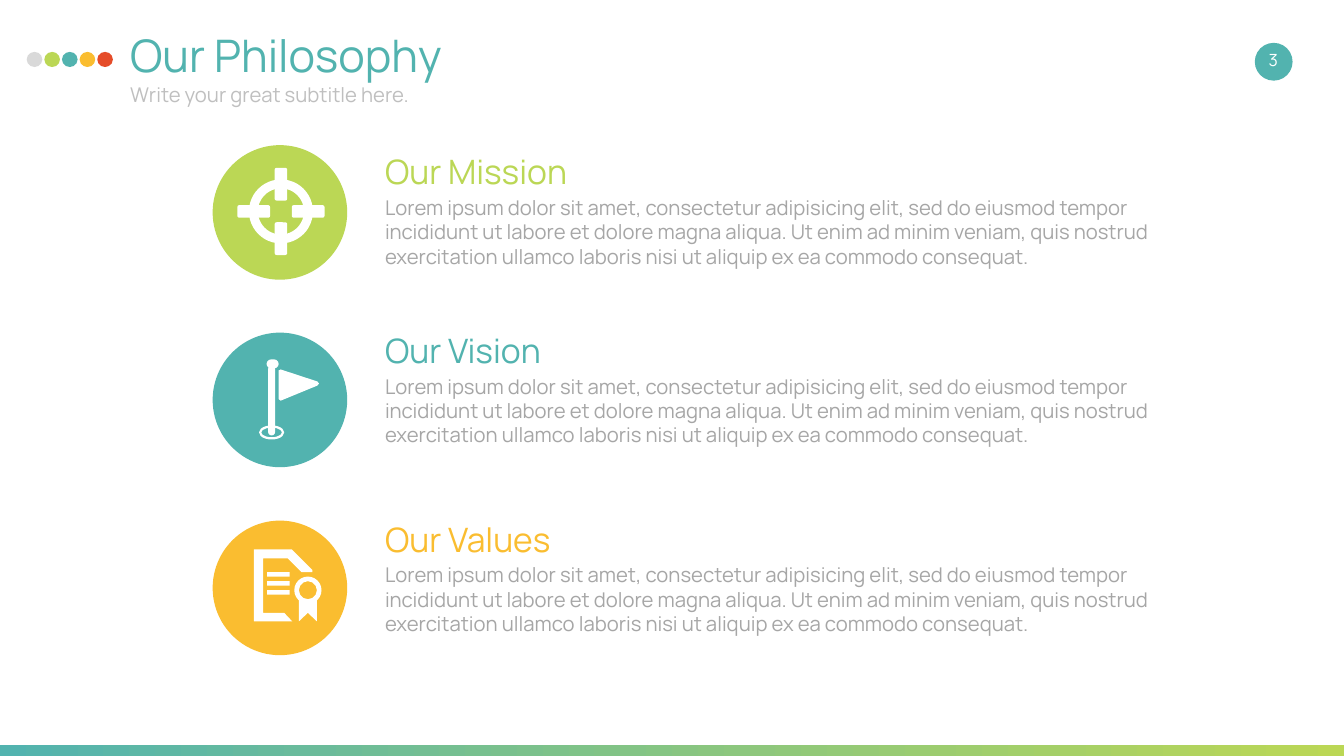
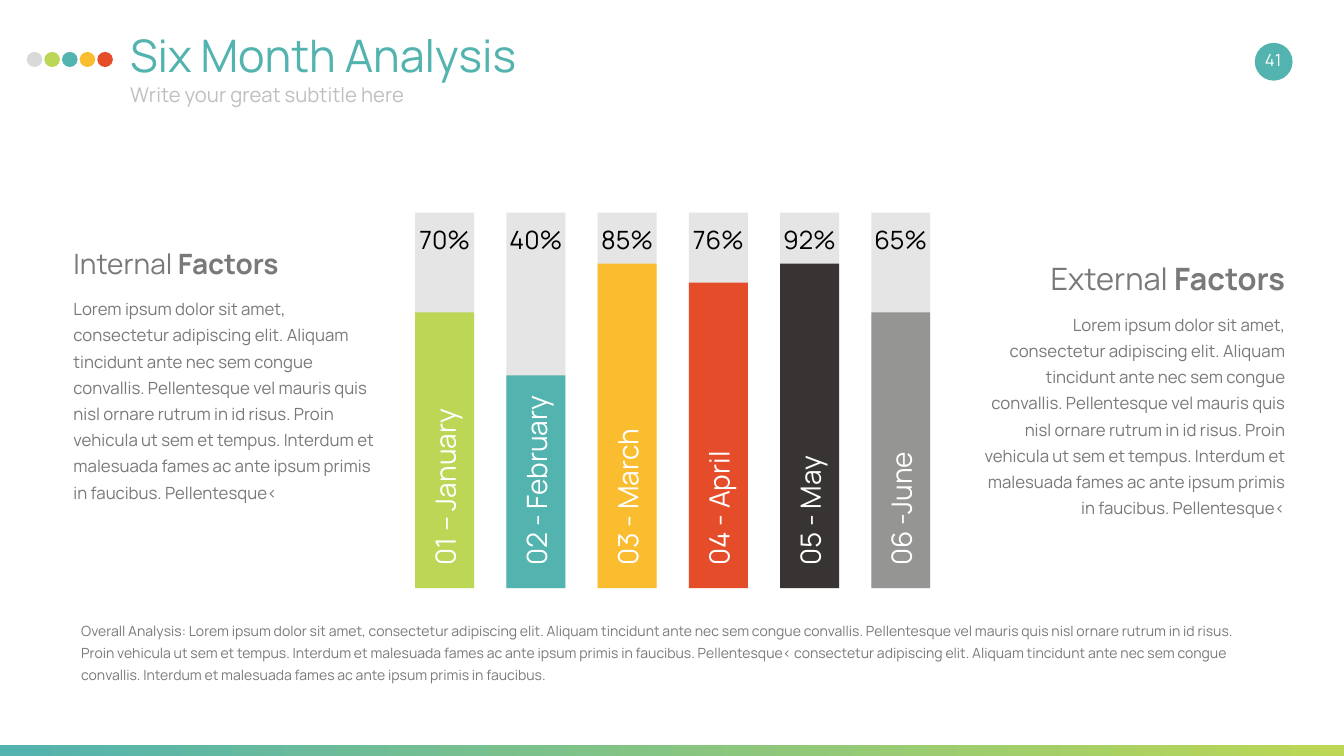
from dataclasses import dataclass
from lxml.etree import SubElement
from pptx import Presentation
from pptx.dml.color import RGBColor
from pptx.enum.shapes import MSO_SHAPE
from pptx.enum.text import MSO_ANCHOR, MSO_AUTO_SIZE, PP_ALIGN
from pptx.oxml.ns import qn
from pptx.util import Inches, Pt


@dataclass(frozen=True)
class Theme:
    font: str = "Manrope"
    teal: str = "52B3AF"
    lime: str = "BBD755"
    amber: str = "FABD30"
    red: str = "E54C29"
    charcoal: str = "383433"
    gray: str = "959594"
    silver: str = "D9D9D9"
    track: str = "E5E5E5"
    subtitle: str = "BFBFBF"
    body: str = "A6A6A6"
    factor: str = "797979"
    white: str = "FFFFFF"
    black: str = "000000"
    title_size: int = 64
    heading_size: int = 48
    external_size: int = 44
    internal_size: int = 40
    value_size: int = 36
    lead_size: int = 29
    small_size: int = 24
    note_size: int = 20


THEME = Theme()
COLUMNS, ROWS = 26.67, 15
WIDE_INSETS = (0.27, 0.13)
FLAT_INSETS = (0.27, 0)
HEADING_INSETS = (0.1, 0)
CIRCLE = 2.67
BAR_LEFT, BAR_PITCH, BAR_WIDTH = 8.24, 1.81, 1.17
BAR_TOP, BAR_BOTTOM = 4.22, 11.67

PHILOSOPHY_TEXT = (
    "Lorem ipsum dolor sit amet, consectetur adipisicing elit, sed do eiusmod tempor "
    "incididunt ut labore et dolore magna aliqua. Ut enim ad minim veniam, quis nostrud "
    "exercitation ullamco laboris nisi ut aliquip ex ea commodo consequat."
)
FACTOR_TEXT = (
    "Lorem ipsum dolor sit amet, consectetur adipiscing elit. Aliquam tincidunt ante nec "
    "sem congue convallis. Pellentesque vel mauris quis nisl ornare rutrum in id risus. "
    "Proin vehicula ut sem et tempus. Interdum et malesuada fames ac ante ipsum primis in "
    "faucibus. Pellentesque‹"
)
OVERALL_TEXT = (
    f"Overall Analysis: {FACTOR_TEXT} consectetur adipiscing elit. Aliquam tincidunt ante "
    "nec sem congue convallis. Interdum et malesuada fames ac ante ipsum primis in faucibus."
)
MONTHS = [
    ("01 – January", "70%", 6.2, THEME.lime),
    ("02 - February", "40%", 7.45, THEME.teal),
    ("03 - March", "85%", 5.23, THEME.amber),
    ("04 - April", "76%", 5.61, THEME.red),
    ("05 - May", "92%", 5.23, THEME.charcoal),
    ("06 -June", "65%", 6.2, THEME.gray),
]


def grid(*cells):
    return [Inches(cell) for cell in cells]


def paint(shape, color):
    shape.shadow.inherit = False
    shape.line.fill.background()
    shape.fill.solid()
    shape.fill.fore_color.rgb = RGBColor.from_string(color)


def add_block(shapes, kind, area, color, adjust=None):
    block = shapes.add_shape(kind, *grid(*area))
    paint(block, color)
    if adjust is not None:
        block.adjustments[0] = adjust
    return block


def add_outline(shapes, left, top, points, color):
    corners = [grid(left + x, top + y) for x, y in points]
    builder = shapes.build_freeform(*corners[0])
    builder.add_line_segments(corners[1:])
    paint(builder.convert_to_shape(), color)


def write(box, text, *, size, color, bold_tail="", align=PP_ALIGN.LEFT,
          anchor=MSO_ANCHOR.TOP, insets=WIDE_INSETS, spacing=1.0):
    frame = box.text_frame
    frame.word_wrap = True
    frame.auto_size = MSO_AUTO_SIZE.NONE
    frame.vertical_anchor = anchor
    frame.margin_left = frame.margin_right = Inches(insets[0])
    frame.margin_top = frame.margin_bottom = Inches(insets[1])
    para = frame.paragraphs[0]
    para.alignment = align
    para.line_spacing = spacing
    para.space_before = Pt(0)
    for words, bold in ((text, False), (bold_tail, True)):
        if words:
            span = para.add_run()
            span.text = words
            span.font.name = THEME.font
            span.font.size = Pt(size)
            span.font.bold = bold
            span.font.color.rgb = RGBColor.from_string(color)


def add_text(shapes, area, text, **style):
    box = shapes.add_textbox(*grid(*area))
    write(box, text, **style)
    return box


def fill_placeholder(box, area, text, **style):
    box.left, box.top, box.width, box.height = grid(*area)
    write(box, text, **style)
    settings = box.text_frame.paragraphs[0]._p.get_or_add_pPr()
    settings.set("marL", "0")
    settings.set("indent", "0")
    SubElement(settings, qn("a:buNone"))


def add_page(deck, title, subtitle, number):
    page = deck.slides.add_slide(deck.slide_layouts[1])
    shapes = page.shapes
    band = add_block(shapes, MSO_SHAPE.RECTANGLE, (0, 14.79, COLUMNS, ROWS - 14.79), THEME.teal)
    band.fill.gradient()
    band.fill.gradient_angle = 0
    for stop, color in zip(band.fill.gradient_stops, (THEME.teal, THEME.lime)):
        stop.color.rgb = RGBColor.from_string(color)
    dots = shapes.add_group_shape().shapes
    colors = (THEME.silver, THEME.lime, THEME.teal, THEME.amber, THEME.red)
    for index, color in enumerate(colors):
        add_block(dots, MSO_SHAPE.OVAL, (0.53 + 0.35 * index, 1.03, 0.31, 0.3), color)
    fill_placeholder(shapes.title, (2.31, 0.41, 21.25, 1.6), title,
                     size=THEME.title_size, color=THEME.teal)
    fill_placeholder(page.placeholders[1], (2.31, 1.5, 21.25, 0.85), subtitle,
                     size=THEME.lead_size, color=THEME.subtitle)
    add_block(shapes, MSO_SHAPE.OVAL, (24.9, 0.85, 0.75, 0.75), THEME.teal)
    add_text(shapes, (24.68, 0.78, 1.17, 0.8), number, size=THEME.small_size,
             color=THEME.white, align=PP_ALIGN.CENTER, anchor=MSO_ANCHOR.MIDDLE)
    return page


def draw_target(shapes, left, top):
    add_block(shapes, MSO_SHAPE.DONUT, (left + 0.72, top + 0.68, 1.27, 1.27), THEME.white, 0.14)
    arms = [(1.23, 0.45, 0.25, 0.65), (1.23, 1.53, 0.25, 0.65),
            (0.49, 1.19, 0.65, 0.25), (1.57, 1.19, 0.65, 0.25)]
    for x, y, width, height in arms:
        add_block(shapes, MSO_SHAPE.ROUNDED_RECTANGLE,
                  (left + x, top + y, width, height), THEME.white, 0.16)


def draw_flag(shapes, left, top):
    banner = [(1.31, 0.75), (1.35, 0.73), (2.08, 0.97), (2.11, 1.01),
              (2.08, 1.05), (1.35, 1.35), (1.31, 1.32)]
    add_outline(shapes, left, top, banner, THEME.white)
    add_block(shapes, MSO_SHAPE.ROUNDED_RECTANGLE,
              (left + 1.1, top + 0.65, 0.14, 1.39), THEME.white, 0.5)
    add_block(shapes, MSO_SHAPE.ROUNDED_RECTANGLE,
              (left + 1.07, top + 0.53, 0.24, 0.18), THEME.white, 0.5)
    add_block(shapes, MSO_SHAPE.DONUT, (left + 0.92, top + 1.84, 0.5, 0.28), THEME.white, 0.16)


def draw_certificate(shapes, left, top):
    sheet = [(1.42, 1.83), (1, 1.83), (1, 0.75), (1.49, 0.75), (1.76, 1.02), (1.98, 1.02),
             (1.98, 0.98), (1.57, 0.57), (0.82, 0.57), (0.82, 2), (1.58, 2)]
    ribbon = [(1.71, 1.57), (1.71, 2), (1.89, 1.83), (2.07, 2), (2.07, 1.57)]
    for points in (sheet, ribbon):
        add_outline(shapes, left, top, points, THEME.white)
    add_block(shapes, MSO_SHAPE.DONUT, (left + 1.62, top + 1.11, 0.54, 0.54), THEME.white, 0.17)
    for line in range(3):
        add_block(shapes, MSO_SHAPE.RECTANGLE,
                  (left + 1.08, top + 1.02 + 0.18 * line, 0.45, 0.09), THEME.white)


def add_belief(page, circle_top, heading_top, heading, color, draw_icon):
    left = 4.22
    icon = page.shapes.add_group_shape().shapes
    add_block(icon, MSO_SHAPE.OVAL, (left, circle_top, CIRCLE, CIRCLE), color)
    draw_icon(icon, left, circle_top)
    add_text(page.shapes, (7.37, heading_top, 17.08, 1.08), heading,
             size=THEME.heading_size, color=color)
    add_text(page.shapes, (7.37, heading_top + 0.87, 17.08, 1.73), PHILOSOPHY_TEXT,
             size=THEME.lead_size, color=THEME.body)


def add_month(page, index, month, value, fill_top, color):
    left = BAR_LEFT + BAR_PITCH * index
    center = left + BAR_WIDTH / 2
    for top, shade in ((BAR_TOP, THEME.track), (fill_top, color)):
        add_block(page.shapes, MSO_SHAPE.RECTANGLE,
                  (left, top, BAR_WIDTH, BAR_BOTTOM - top), shade)
    length, height = 5.9, 0.67
    label = add_text(page.shapes, (center - length / 2, 8.2, length, height), month,
                     size=THEME.internal_size, color=THEME.white,
                     anchor=MSO_ANCHOR.MIDDLE, insets=FLAT_INSETS)
    label.rotation = 270
    add_text(page.shapes, (center - 0.85, 4.44, 1.7, 0.63), value,
             size=THEME.value_size, color=THEME.black, align=PP_ALIGN.CENTER,
             anchor=MSO_ANCHOR.MIDDLE, insets=FLAT_INSETS)


def add_factor(page, left, heading_area, body_top, heading, size, align):
    panel = page.shapes.add_group_shape().shapes
    top, height = heading_area
    add_text(panel, (left, top, 6.2, height), heading, bold_tail="Factors", size=size,
             color=THEME.factor, align=align, anchor=MSO_ANCHOR.MIDDLE, insets=HEADING_INSETS)
    add_text(panel, (left, body_top, 6.2, 4.28), FACTOR_TEXT, size=THEME.small_size,
             color=THEME.factor, align=align, anchor=MSO_ANCHOR.MIDDLE,
             insets=(0.1, 0.05), spacing=1.3)


def build_philosophy(deck):
    page = add_page(deck, "Our Philosophy", "Write your great subtitle here.", "3")
    add_belief(page, 2.88, 2.87, "Our Mission", THEME.lime, draw_target)
    add_belief(page, 6.6, 6.42, "Our Vision", THEME.teal, draw_flag)
    add_belief(page, 10.33, 10.16, "Our Values", THEME.amber, draw_certificate)


def build_analysis(deck):
    page = add_page(deck, "Six Month Analysis", "Write your great subtitle here", "41")
    for index, month in enumerate(MONTHS):
        add_month(page, index, *month)
    add_factor(page, 1.36, (4.88, 0.67), 5.75, "Internal ", THEME.internal_size, PP_ALIGN.LEFT)
    add_factor(page, 19.4, (5.15, 0.74), 6.06, "External ", THEME.external_size, PP_ALIGN.RIGHT)
    add_text(page.shapes, (1.34, 12.12, 24.11, 1.57), OVERALL_TEXT, size=THEME.note_size,
             color=THEME.factor, anchor=MSO_ANCHOR.MIDDLE, spacing=1.3)


def main():
    deck = Presentation()
    deck.slide_width, deck.slide_height = grid(COLUMNS, ROWS)
    build_philosophy(deck)
    build_analysis(deck)
    deck.save("out.pptx")


if __name__ == "__main__":
    main()
